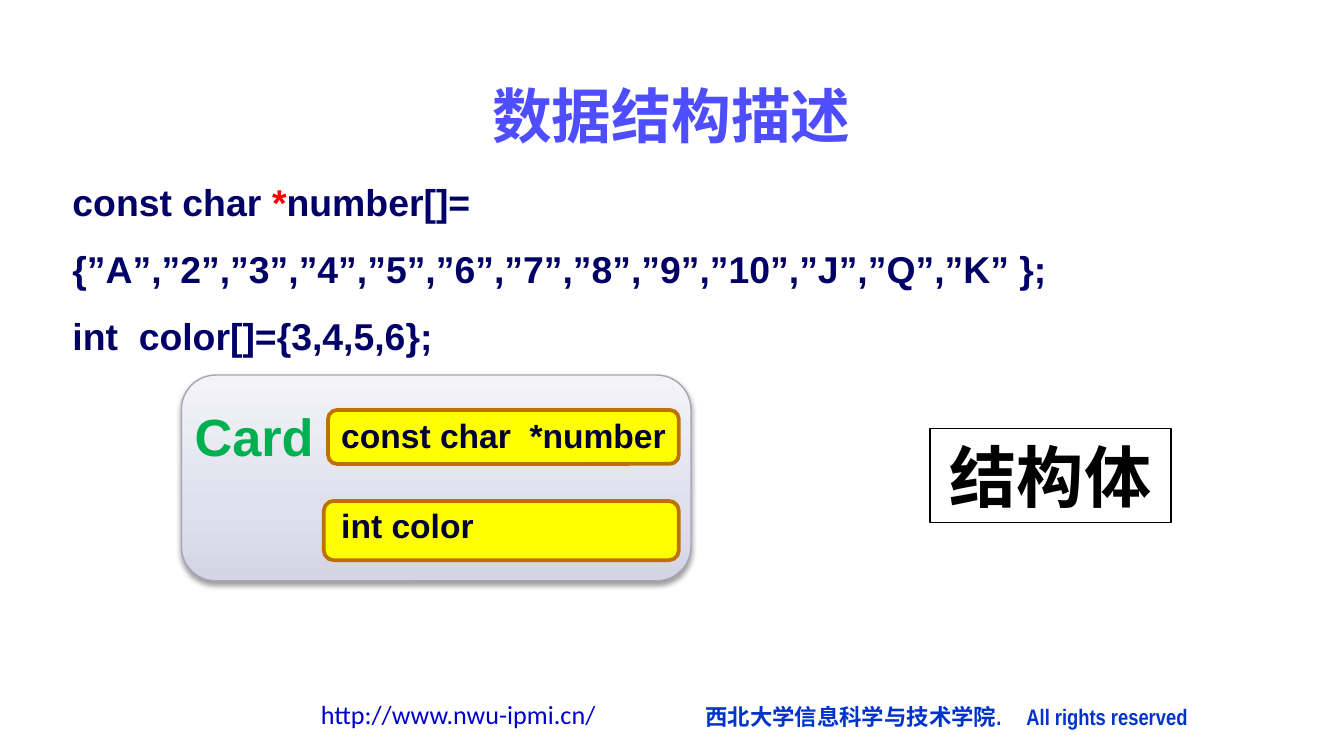
from lxml import etree
from pptx import Presentation
from pptx import util as u
from pptx.dml.color import RGBColor
from pptx.enum import shapes, text
from pptx.oxml import ns, parse_xml

HUES = {
    "title": "4E4EFF", "code": "000066", "star": "FF0000", "name": "00B050",
    "field": "000033", "black": "000000", "yellow": "FFFF00", "brown": "BD7100",
    "edge": "A6A6B5", "link": "0000CC", "foot": "0033CC",
}
FADE = [(0, "D4D4E5"), (35, "E0E0EC"), (100, "F3F3F8")]
ALIGN = text.PP_ALIGN


def hue(key):
    return RGBColor.from_string(HUES[key])


def write(para, words, size=18, color="black", font="Arial", bold=True, align=None):
    """Add one formatted run to a paragraph."""
    run = para.add_run()
    run.text = words
    run.font.size = u.Pt(size)
    run.font.name = font
    run.font.bold = bold
    run.font.color.rgb = hue(color)
    if align is not None:
        para.alignment = align


class Deck:
    def __init__(self):
        self.prs = Presentation()
        self.prs.slide_width, self.prs.slide_height = u.Cm(25.4), u.Cm(14.29)
        self.slide = self.prs.slides.add_slide(self.prs.slide_layouts[5])
        self.home = self.slide.shapes

    def title(self, box, words, **fmt):
        head = self.slide.shapes.title
        head.left, head.top, head.width, head.height = map(u.Cm, box)
        frame = head.text_frame
        frame.vertical_anchor = text.MSO_ANCHOR.BOTTOM
        frame.auto_size = text.MSO_AUTO_SIZE.NONE
        write(frame.paragraphs[0], words, **fmt)

    def label(self, box, words="", **fmt):
        frame = self.home.add_textbox(*map(u.Cm, box)).text_frame
        frame.word_wrap = True
        para = frame.paragraphs[0]
        if words:
            write(para, words, **fmt)
        return frame

    def shape(self, box, kind, line, width, fill=None):
        form = self.home.add_shape(kind, *map(u.Cm, box))
        form.shadow.inherit = False
        if fill:
            form.fill.solid()
            form.fill.fore_color.rgb = hue(fill)
        else:
            form.fill.background()
        form.line.color.rgb = hue(line)
        form.line.width = u.Pt(width)
        return form

    def shade(self, form, stops):
        """Give a shape an upward gradient and a soft shadow."""
        props = form.fill._xPr
        marks = "".join(f'<a:gs pos="{at * 1000}"><a:srgbClr val="{tone}"/></a:gs>'
                        for at, tone in stops)
        grad = parse_xml(f'<a:gradFill {ns.nsdecls("a")} rotWithShape="1"><a:gsLst>{marks}'
                         '</a:gsLst><a:lin ang="16200000" scaled="0"/></a:gradFill>')
        props.replace(props.find(ns.qn("a:noFill")), grad)
        glow = parse_xml(
            f'<a:outerShdw {ns.nsdecls("a")} blurRad="{u.Pt(3.1)}" dist="{u.Pt(1.6)}" '
            'dir="5400000" rotWithShape="0"><a:srgbClr val="000000">'
            '<a:alpha val="38000"/></a:srgbClr></a:outerShdw>')
        props.find(ns.qn("a:effectLst")).append(glow)

    def tab(self, para, at):
        stops = etree.SubElement(para._p.get_or_add_pPr(), ns.qn("a:tabLst"))
        etree.SubElement(stops, ns.qn("a:tab"), pos=str(u.Cm(at)), algn="l")


def main():
    deck = Deck()
    kinds = shapes.MSO_SHAPE

    # Footer
    foot = deck.label((13.08, 13.16, 11.81, 0.76)).paragraphs[0]
    deck.tab(foot, 6.07)
    write(foot, "西北大学信息科学与技术学院.\tAll rights reserved",
          size=12, color="foot", font="Arial Narrow")
    deck.label((4.78, 13.08, 6.73, 0.86), "http://www.nwu-ipmi.cn/", size=14,
               color="link", font="Calibri", bold=False, align=ALIGN.RIGHT)

    # Title
    deck.title((8.18, 1.37, 9.02, 1.6), "数据结构描述", size=32, color="title",
               align=ALIGN.CENTER)

    # Card structure with its two fields
    deck.home = deck.slide.shapes.add_group_shape().shapes
    card = deck.shape((3.43, 7.09, 9.63, 3.89), kinds.ROUNDED_RECTANGLE, "edge", 0.75)
    deck.shade(card, FADE)
    for box in ((6.2, 7.75, 6.63, 1.02), (6.12, 9.47, 6.71, 1.12)):
        deck.shape(box, kinds.ROUNDED_RECTANGLE, "brown", 2, fill="yellow")
    deck.label((3.43, 7.52, 2.77, 1.45), "Card", size=28, color="name")
    deck.label((6.2, 7.72, 6.86, 1.8), "const char  *number", color="field")
    deck.label((6.2, 9.42, 4.72, 1.02), "int color", color="field")
    deck.home = deck.slide.shapes

    # Boxed term
    term = deck.shape((17.58, 8.1, 4.55, 1.78), kinds.RECTANGLE, "black", 0.75)
    write(term.text_frame.paragraphs[0], "结构体", size=36, align=ALIGN.CENTER)

    # Code
    code = [
        [("const char ", "code"), ("*", "star"), ("number[]=", "code")],
        [("{”A”,”2”,”3”,”4”,”5”,”6”,”7”,”8”,”9”,”10”,”J”,”Q”,”K” };", "code")],
        [("int  color[]={3,4,5,6};", "code")],
    ]
    frame = deck.label((1.12, 2.84, 26.04, 4.09))
    for row, parts in enumerate(code):
        para = frame.add_paragraph() if row else frame.paragraphs[0]
        para.line_spacing = 1.5
        for words, color in parts:
            write(para, words, size=20, color=color)

    deck.prs.save("out.pptx")


if __name__ == "__main__":
    main()
